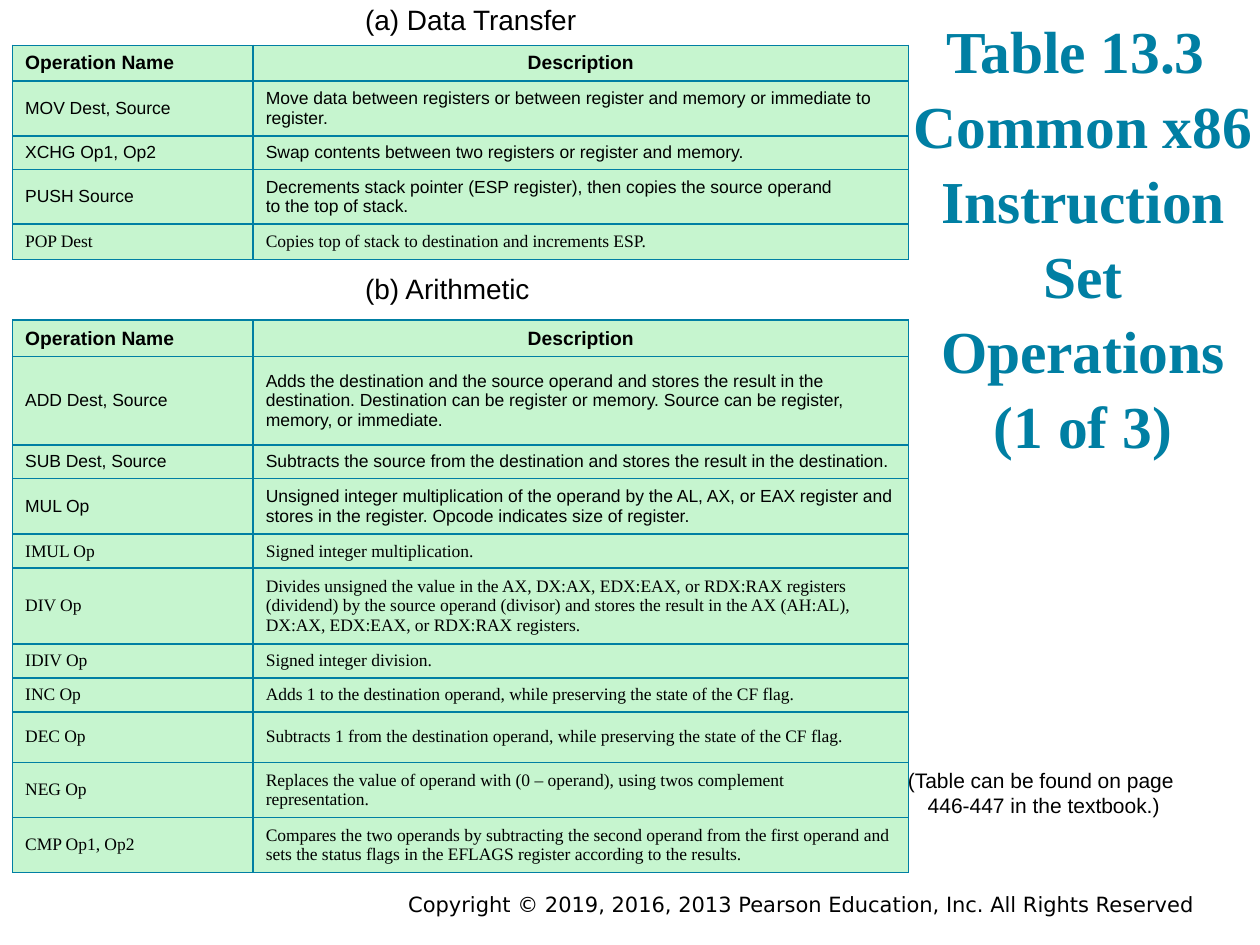
from lxml.etree import SubElement
from pptx import Presentation
from pptx.dml.color import RGBColor
from pptx.enum.text import MSO_ANCHOR as Anchor, PP_ALIGN as Align
from pptx.oxml.ns import qn
from pptx.util import Inches, Pt

TEAL = RGBColor(0x00, 0x7F, 0xA3)
MINT = RGBColor(0xC6, 0xF5, 0xCF)
BLACK = RGBColor(0, 0, 0)
SANS, SERIF, FOOTER_FONT = "Arial", "Times New Roman", "DejaVu Sans"

TABLE_LEFT = 0.1
COLUMN_WIDTHS = (1.91, 5.2)
HEADINGS = ("Operation Name", "Description")
FIRST_SERIF_ROW = 4

# Each row: height, operation, description ("\n" new paragraph, "\v" line break)
TRANSFER_ROWS = [
    (0.27, *HEADINGS),
    (0.41, "MOV Dest, Source",
     "Move data between registers or between register and memory or immediate to register."),
    (0.26, "XCHG Op1, Op2", "Swap contents between two registers or register and memory."),
    (0.41, "PUSH Source",
     "Decrements stack pointer (ESP register), then copies the source operand\v"
     "to the top of stack."),
    (0.28, "POP Dest", "Copies top of stack to destination and increments ESP."),
]
ARITHMETIC_ROWS = [
    (0.29, *HEADINGS),
    (0.70, "ADD Dest, Source",
     "Adds the destination and the source operand and stores the result in the destination. "
     "Destination can be register or memory. Source can be register, memory, or immediate."),
    (0.27, "SUB Dest, Source",
     "Subtracts the source from the destination and stores the result in the destination."),
    (0.44, "MUL Op",
     "Unsigned integer multiplication of the operand by the AL, AX, or EAX register and\n"
     "stores in the register. Opcode indicates size of register."),
    (0.27, "IMUL Op", "Signed integer multiplication."),
    (0.60, "DIV Op",
     "Divides unsigned the value in the AX, DX:AX, EDX:EAX, or RDX:RAX registers\n"
     "(dividend) by the source operand (divisor) and stores the result in the AX (AH:AL), "
     "DX:AX, EDX:EAX, or RDX:RAX registers."),
    (0.27, "IDIV Op", "Signed integer division."),
    (0.27, "INC Op",
     "Adds 1 to the destination operand, while preserving the state of the CF flag."),
    (0.40, "DEC Op",
     "Subtracts 1 from the destination operand, while preserving the state of the CF flag."),
    (0.44, "NEG Op",
     "Replaces the value of operand with (0 – operand), using twos complement\n"
     "representation."),
    (0.43, "CMP Op1, Op2",
     "Compares the two operands by subtracting the second operand from the first operand "
     "and sets the status flags in the EFLAGS register according to the results."),
]


def write(frame, text, size, font=SANS, color=BLACK, bold=False,
          align=Align.LEFT, spacing=None):
    frame.text = text
    for para in frame.paragraphs:
        para.alignment = align
        if spacing:
            para.line_spacing = spacing
        for span in para.runs:
            span.font.size = Pt(size)
            span.font.name = font
            span.font.bold = bold
            span.font.color.rgb = color


def add_text(page, area, text, size, wrap=True, anchor=Anchor.TOP, **style):
    box = page.shapes.add_textbox(*map(Inches, area))
    frame = box.text_frame
    frame.word_wrap = wrap
    frame.vertical_anchor = anchor
    write(frame, text, size, **style)


def outline(cell):
    properties = cell._tc.get_or_add_tcPr()
    for index, side in enumerate(("lnL", "lnR", "lnT", "lnB")):
        line = SubElement(properties, qn(f"a:{side}"), w=str(Pt(1)))
        fill = SubElement(line, qn("a:solidFill"))
        SubElement(fill, qn("a:srgbClr"), val=str(TEAL))
        properties.remove(line)
        properties.insert(index, line)  # borders must precede the cell fill


def add_operations(page, caption, caption_area, top, rows):
    """Place a caption and its table of operations, starting at top."""
    add_text(page, caption_area, caption, 16, wrap=False)
    height = sum(row[0] for row in rows)
    area = (TABLE_LEFT, top, sum(COLUMN_WIDTHS), height)
    table = page.shapes.add_table(len(rows), len(COLUMN_WIDTHS), *map(Inches, area)).table
    table.horz_banding = False
    for column, width in zip(table.columns, COLUMN_WIDTHS):
        column.width = Inches(width)
    for r, (row_height, *texts) in enumerate(rows):
        table.rows[r].height = Inches(row_height)
        header = r == 0
        for c, text in enumerate(texts):
            cell = table.cell(r, c)
            cell.fill.solid()
            cell.fill.fore_color.rgb = MINT
            cell.vertical_anchor = Anchor.MIDDLE
            outline(cell)
            write(cell.text_frame, text, 11 if header else 10, bold=header,
                  font=SERIF if r >= FIRST_SERIF_ROW else SANS,
                  align=Align.CENTER if header and c == 1 else Align.LEFT)


def add_side_texts(page):
    add_text(page, (7.02, 0.28, 3.15, 3.42),
             "Table 13.3 \vCommon x86 Instruction Set Operations\v(1 of 3)", 34,
             anchor=Anchor.BOTTOM, font=SERIF, color=TEAL, bold=True,
             align=Align.CENTER, spacing=1.05)
    add_text(page, (6.57, 6.04, 3.43, 0.5),
             "(Table can be found on page \n446-447 in the textbook.)", 12,
             align=Align.CENTER)


def add_footer(page):
    add_text(page, (1.75, 7.03, 7.83, 0.22),
             "Copyright © 2019, 2016, 2013 Pearson Education, Inc. All Rights Reserved",
             12, font=FOOTER_FONT, align=Align.RIGHT)


def main():
    deck = Presentation()
    deck.slide_width, deck.slide_height = Inches(10), Inches(7.5)
    page = deck.slides.add_slide(deck.slide_layouts[6])
    add_footer(page)
    add_operations(page, "(a) Data Transfer", (2.8, -0.03, 1.9, 0.37), 0.36, TRANSFER_ROWS)
    add_operations(page, "(b) Arithmetic", (2.8, 2.11, 1.53, 0.37), 2.54, ARITHMETIC_ROWS)
    add_side_texts(page)
    deck.save("out.pptx")


if __name__ == "__main__":
    main()
